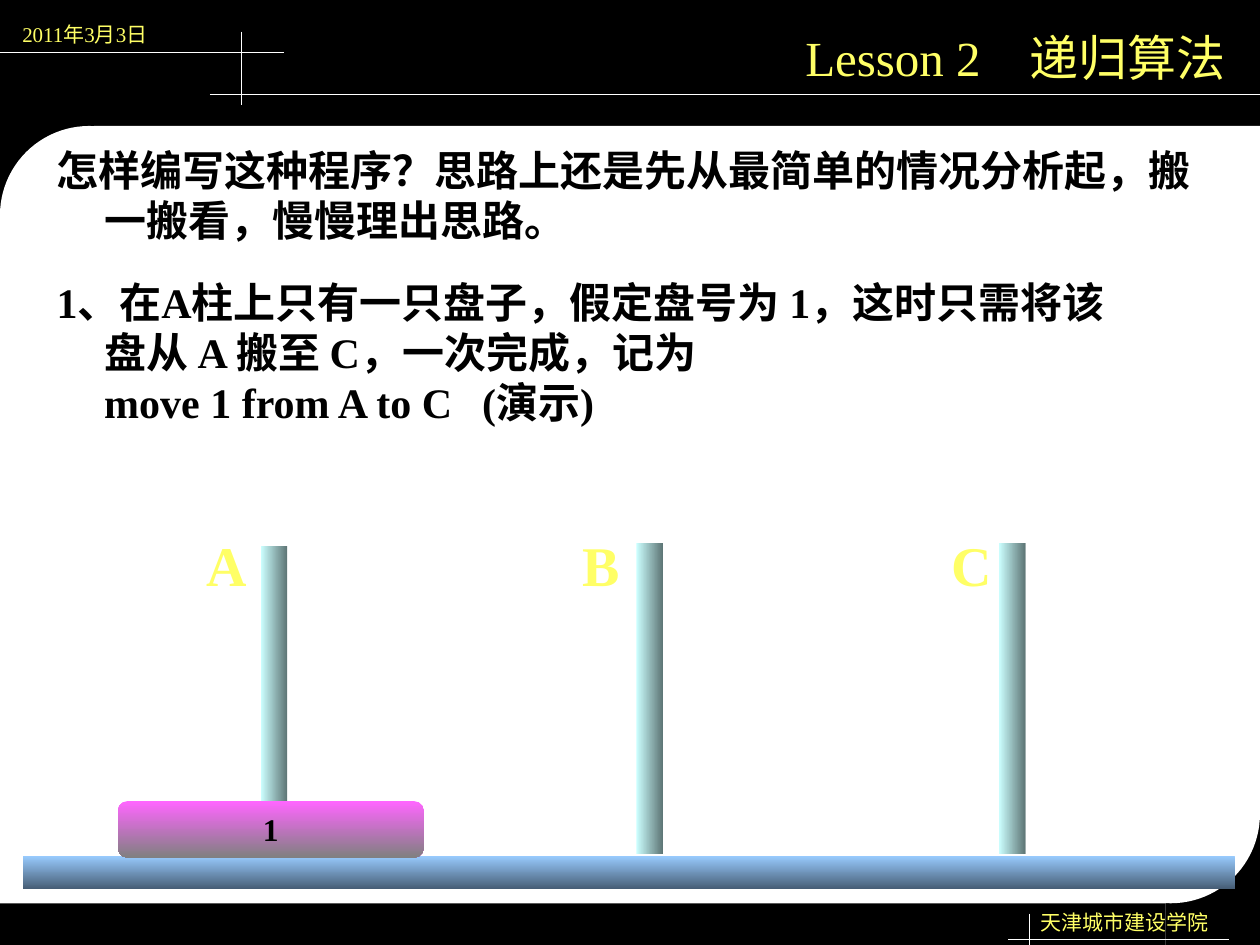
import lxml.etree
import pptx
import pptx.dml.color
import pptx.enum.shapes
import pptx.enum.text
import pptx.oxml.ns
import pptx.util

Cm = pptx.util.Cm
Pt = pptx.util.Pt
SHAPE = pptx.enum.shapes.MSO_SHAPE
ALIGN = pptx.enum.text.PP_ALIGN

COLORS = {
    "black": "000000", "white": "FFFFFF", "yellow": "FFFF66",
    "pole": "CCFFFF", "pole_dark": "5E7676",
    "base": "99CCFF", "base_dark": "475E76",
    "disc": "FF66FF", "disc_dark": "808080",
}
FONT = "Times New Roman"
WIDTH, HEIGHT = 25.4, 19.05
CORNER = 3.6
PANEL_TOP, PANEL_BOTTOM = 2.54, 18.21
INNER_LEFT, INNER_RIGHT = 1.9, 23.5
HANG = 0.96
NOTE_TAB = 9.7

PANEL = [
    (SHAPE.OVAL, "white", 0, PANEL_TOP, CORNER, CORNER),
    (SHAPE.RECTANGLE, "white", INNER_LEFT, PANEL_TOP, WIDTH - INNER_LEFT, CORNER),
    (SHAPE.RECTANGLE, "white", 0, 4.45, WIDTH, HEIGHT - 4.45),
    (SHAPE.RECTANGLE, "black", INNER_RIGHT, 16.51, WIDTH - INNER_RIGHT, HEIGHT - 16.51),
    (SHAPE.OVAL, "white", WIDTH - CORNER, PANEL_BOTTOM - CORNER, CORNER, CORNER),
    (SHAPE.RECTANGLE, "black", 0, PANEL_BOTTOM, INNER_RIGHT, HEIGHT - PANEL_BOTTOM),
]
HEADER_RULES = [(0, 1.06, 5.72, 1.06), (4.87, 0.64, 4.87, 2.12), (4.23, 1.9, WIDTH, 1.9)]
FOOTER_RULES = [(20.32, 18.94, 24.77, 18.94), (20.75, 18.42, 20.75, HEIGHT)]

TITLE = "Lesson 2　递归算法 "
SCHOOL = "天津城市建设学院"
DATE = "2011年3月3日"
BODY = [
    ((0.89, 2.79, 24.2, 2.3),
     ["怎样编写这种程序？思路上还是先从最简单的情况分析起，搬一搬看，慢慢理出思路。"]),
    ((0.89, 5.44, 22.2, 3.3),
     ["1、在A柱上只有一只盘子，假定盘号为 1，这时只需将该盘从 A 搬至 C，一次完成，记为",
      "move 1 from A to C\t(演示)"]),
]

POLES = [("A", 5.26, 11.0), ("B", 12.83, 10.95), ("C", 20.14, 10.95)]
POLE_SIZE = (0.53, 6.27)
LABEL_LEFTS = {"A": 3.92, "B": 11.49, "C": 18.93}
LABEL_TOP, LABEL_WIDTH, LABEL_HEIGHT = 10.57, 1.3, 1.63
BASE = (0.46, 17.25, 24.43, 0.67)
DISC = (2.38, 16.15, 6.16, 1.14)


def rgb(name):
    return pptx.dml.color.RGBColor.from_string(COLORS[name])


def add_block(slide, kind, box):
    block = slide.shapes.add_shape(kind, *map(Cm, box))
    block.shadow.inherit = False
    block.line.fill.background()
    return block


def add_solid(slide, kind, color, *box):
    block = add_block(slide, kind, box)
    block.fill.solid()
    block.fill.fore_color.rgb = rgb(color)


def add_shaded(slide, kind, box, color, angle):
    block = add_block(slide, kind, box)
    block.fill.gradient()
    block.fill.gradient_angle = angle
    for stop, name in zip(block.fill.gradient_stops, (color, color + "_dark")):
        stop.color.rgb = rgb(name)
    return block


def add_rule(slide, *ends):
    rule = slide.shapes.add_connector(pptx.enum.shapes.MSO_CONNECTOR.STRAIGHT, *map(Cm, ends))
    rule.line.color.rgb = rgb("white")
    rule.line.width = Pt(0.75)
    lxml.etree.SubElement(rule._element.spPr, pptx.oxml.ns.qn("a:effectLst"))


def write(frame, lines, size, color, bold=False, align=ALIGN.LEFT, before=None):
    paragraph = frame.paragraphs[0]
    paragraph.alignment = align
    if before:
        paragraph.space_before = Pt(before)
    for number, line in enumerate(lines):
        if number:
            paragraph.add_line_break()
        run = paragraph.add_run()
        run.text = line
        run.font.size = Pt(size)
        run.font.name = FONT
        run.font.bold = bold
        run.font.color.rgb = rgb(color)
    return paragraph


def add_text(slide, box, lines, size, color, wrap=True, **style):
    frame = slide.shapes.add_textbox(*map(Cm, box)).text_frame
    frame.word_wrap = wrap
    return write(frame, lines, size, color, **style)


def hang(paragraph):
    properties = paragraph._p.get_or_add_pPr()
    properties.set("marL", str(Cm(HANG)))
    properties.set("indent", str(-Cm(HANG)))
    tabs = lxml.etree.SubElement(properties, pptx.oxml.ns.qn("a:tabLst"))
    lxml.etree.SubElement(tabs, pptx.oxml.ns.qn("a:tab"), pos=str(Cm(NOTE_TAB)), algn="l")


def main():
    deck = pptx.Presentation()
    deck.slide_width, deck.slide_height = Cm(WIDTH), Cm(HEIGHT)
    slide = deck.slides.add_slide(deck.slide_layouts[6])
    slide.background.fill.solid()
    slide.background.fill.fore_color.rgb = rgb("black")

    for part in PANEL:
        add_solid(slide, *part)
    for ends in HEADER_RULES + FOOTER_RULES:
        add_rule(slide, *ends)

    add_text(slide, (7.82, 0.43, 17.35, 1.45), [TITLE], 28, "yellow", align=ALIGN.RIGHT)
    add_text(slide, (7.26, 18.21, 17.35, 0.76), [SCHOOL], 12, "yellow", align=ALIGN.RIGHT)
    add_text(slide, (0.2, 0.3, 3.6, 0.76), [DATE], 12, "yellow")
    for box, lines in BODY:
        hang(add_text(slide, box, lines, 24, "black", bold=True))

    add_shaded(slide, SHAPE.RECTANGLE, BASE, "base", 270)
    for label, left, top in POLES:
        add_shaded(slide, SHAPE.RECTANGLE, (left, top, *POLE_SIZE), "pole", 0)
        label_box = (LABEL_LEFTS[label], LABEL_TOP, LABEL_WIDTH, LABEL_HEIGHT)
        add_text(slide, label_box, [label], 32, "yellow", wrap=False, bold=True, before=20)

    disc = add_shaded(slide, SHAPE.ROUNDED_RECTANGLE, DISC, "disc", 270)
    disc.text_frame.vertical_anchor = pptx.enum.text.MSO_ANCHOR.MIDDLE
    write(disc.text_frame, ["1"], 18, "black", bold=True, align=ALIGN.CENTER)

    deck.save("out.pptx")


if __name__ == "__main__":
    main()
